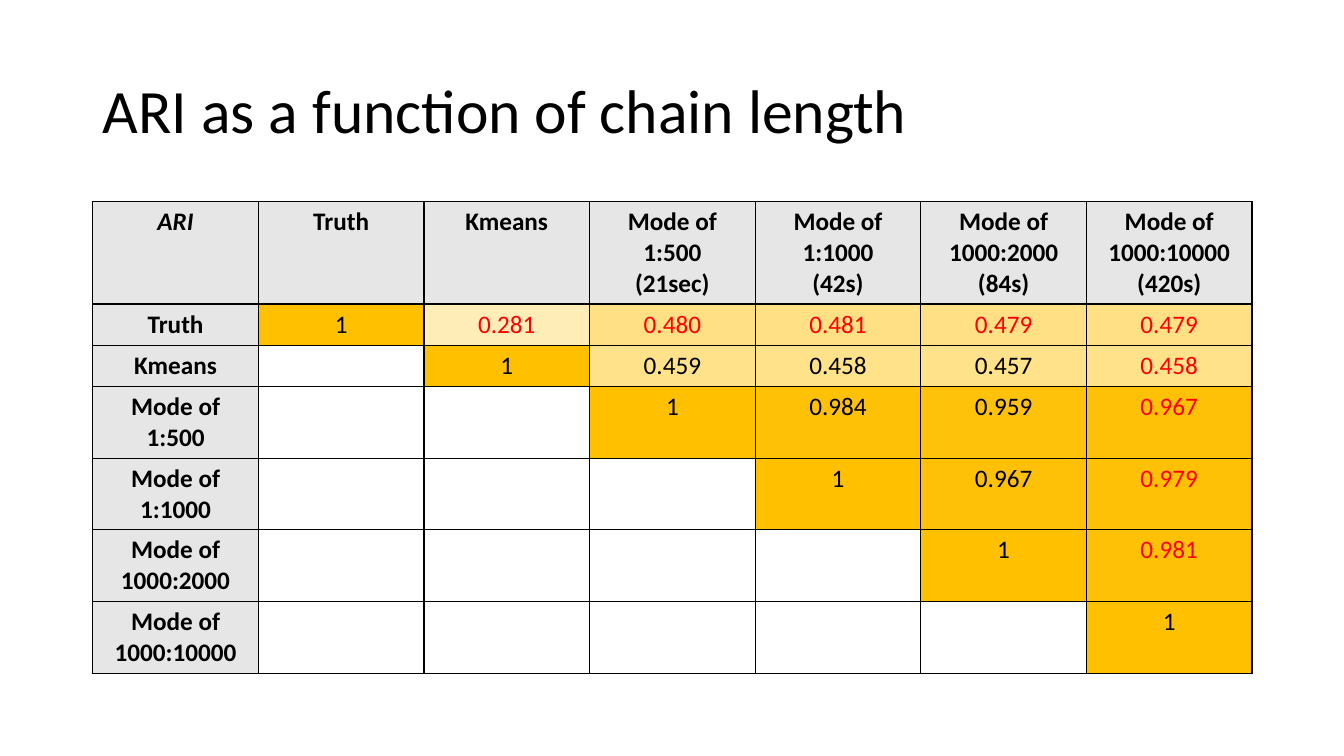
"""Build a slide with a table of ARI values by chain length."""
from lxml import etree
from pptx import Presentation
from pptx.dml.color import RGBColor
from pptx.enum.text import MSO_ANCHOR, PP_ALIGN
from pptx.oxml.ns import qn
from pptx.util import Inches, Pt

CENTER, LEFT, MIDDLE = PP_ALIGN.CENTER, PP_ALIGN.LEFT, MSO_ANCHOR.MIDDLE

TITLE = "ARI as a function of chain length"
HEADINGS = ["ARI", "Truth", "Kmeans", "Mode of 1:500\n(21sec)", "Mode of 1:1000\n(42s)",
            "Mode of 1000:2000 (84s)", "Mode of 1000:10000\n(420s)"]
SCORES = [
    ("Truth", ["1", "0.281", "0.480", "0.481", "0.479", "0.479"]),
    ("Kmeans", ["1", "0.459", "0.458", "0.457", "0.458"]),
    ("Mode of 1:500", ["1", "0.984", "0.959", "0.967"]),
    ("Mode of 1:1000", ["1", "0.967", "0.979"]),
    ("Mode of 1000:2000", ["1", "0.981"]),
    ("Mode of 1000:10000", ["1"]),
]
ROW_HEIGHTS = [1.01, 0.41, 0.41, 0.71, 0.71, 0.71, 0.71]
TABLE_LEFT, TABLE_TOP, TABLE_WIDTH = 0.92, 2, 11.5
COLORS = {"text": "000000", "highlight": "FF0000", "heading": "E7E6E6",
          "score": "FFC000", "border": "000000"}
FONT = "Calibri"


def rgb(name):
    return RGBColor.from_string(COLORS[name])


def add_borders(cell):
    properties = cell._tc.get_or_add_tcPr()
    for position, side in enumerate(("lnL", "lnR", "lnT", "lnB")):
        line = etree.Element(qn(f"a:{side}"), w=str(Pt(1)))
        fill = etree.SubElement(line, qn("a:solidFill"))
        etree.SubElement(fill, qn("a:srgbClr"), val=COLORS["border"])
        properties.insert(position, line)


def fill_cell(cell, fill, opacity=100):
    cell.fill.solid()
    cell.fill.fore_color.rgb = rgb(fill)
    if opacity < 100:
        color = cell._tc.tcPr.find(qn("a:solidFill")).find(qn("a:srgbClr"))
        etree.SubElement(color, qn("a:alpha"), val=str(opacity * 1000))


def write_cell(cell, text, color="text", bold=False, italic=False):
    cell.text = text
    for paragraph in cell.text_frame.paragraphs:
        paragraph.alignment = CENTER
        font = paragraph.font
        font.name, font.size = FONT, Pt(18)
        font.bold, font.italic = bold, italic
        font.color.rgb = rgb(color)


def add_title(slide):
    title = slide.shapes.title
    title.left, title.top = Inches(0.92), Inches(0.4)
    title.width, title.height = Inches(11.5), Inches(1.45)
    title.text_frame.text = TITLE
    title.text_frame.vertical_anchor = MIDDLE
    paragraph = title.text_frame.paragraphs[0]
    paragraph.alignment, paragraph.line_spacing = LEFT, 0.9
    paragraph.font.name, paragraph.font.size = FONT, Pt(44)
    paragraph.font.color.rgb = rgb("text")


def add_score_table(slide):
    size = len(HEADINGS)
    table = slide.shapes.add_table(
        size, size, Inches(TABLE_LEFT), Inches(TABLE_TOP),
        Inches(TABLE_WIDTH), Inches(sum(ROW_HEIGHTS))).table
    table.first_row = table.horz_banding = False
    for column in table.columns:
        column.width = Inches(TABLE_WIDTH / size)
    for row, height in zip(table.rows, ROW_HEIGHTS):
        row.height = Inches(height)
    for cell in table.iter_cells():
        cell.fill.background()
        add_borders(cell)

    for column, heading in enumerate(HEADINGS):
        cell = table.cell(0, column)
        write_cell(cell, heading, bold=True, italic=column == 0)
        fill_cell(cell, "heading")
    for row, (label, scores) in enumerate(SCORES, 1):
        write_cell(table.cell(row, 0), label, bold=True)
        fill_cell(table.cell(row, 0), "heading")
        for column, score in enumerate(scores, row):
            highlighted = column != row and (row == 1 or column == size - 1)
            cell = table.cell(row, column)
            write_cell(cell, score, "highlight" if highlighted else "text")
            fill_cell(cell, "score", round(float(score) * 100))


def main():
    deck = Presentation()
    deck.slide_width, deck.slide_height = Inches(13.33), Inches(7.5)
    slide = deck.slides.add_slide(deck.slide_layouts[5])
    add_title(slide)
    add_score_table(slide)
    deck.save("out.pptx")


if __name__ == "__main__":
    main()
